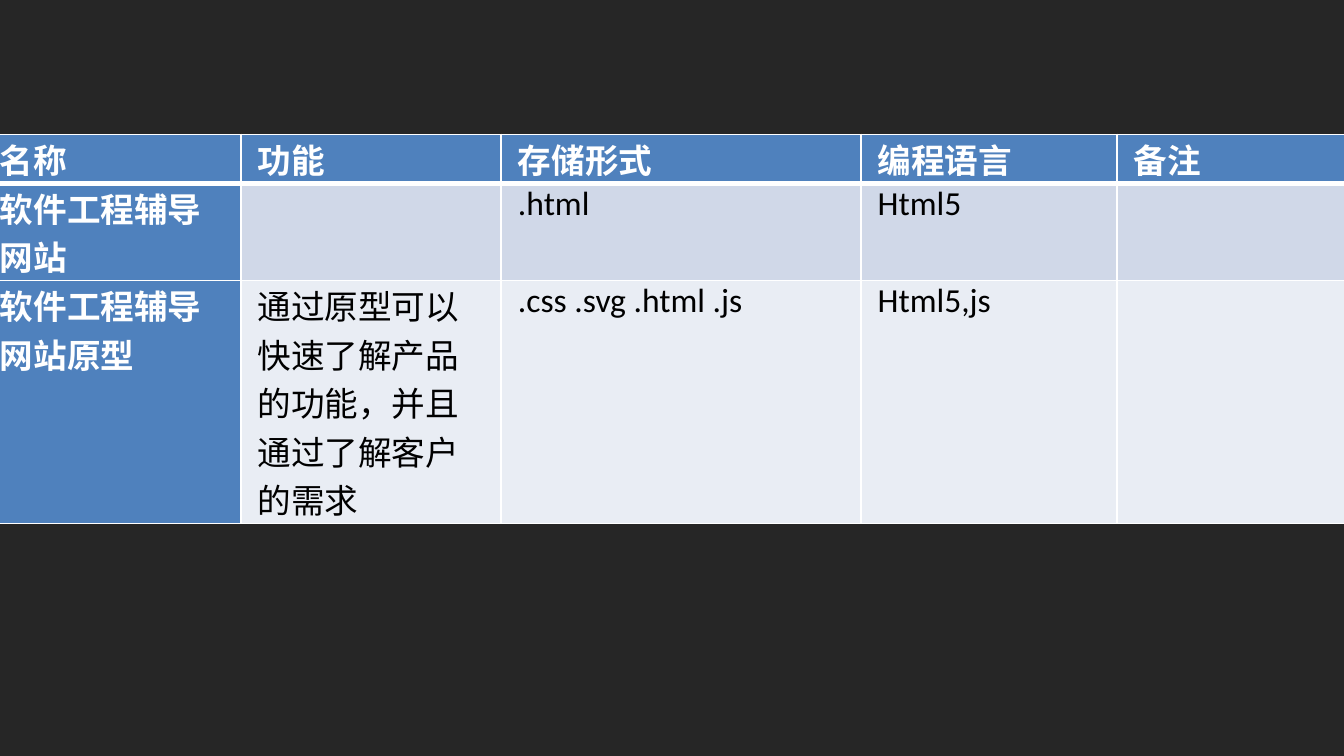
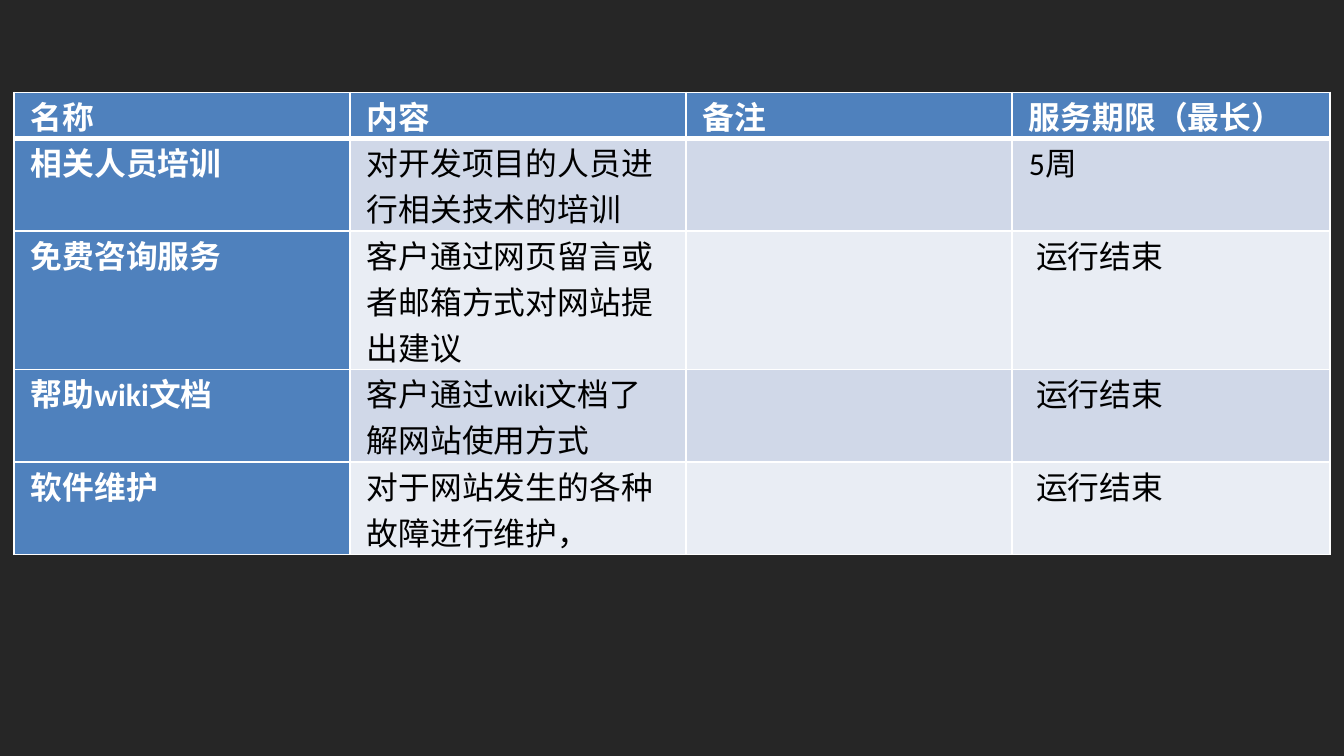
from lxml.etree import SubElement
from pptx import Presentation
from pptx.dml.color import RGBColor
from pptx.enum.lang import MSO_LANGUAGE_ID as Lang
from pptx.oxml.ns import qn
from pptx.util import Pt

PX = 9525  # 96 px to the inch
BACKDROP = RGBColor(0x26, 0x26, 0x26)
HEADING = RGBColor(0x4F, 0x81, 0xBD)
BANDS = [RGBColor(0xE9, 0xED, 0xF4), RGBColor(0xD0, 0xD8, 0xE8)]
WHITE = RGBColor(0xFF, 0xFF, 0xFF)
BLACK = RGBColor(0x00, 0x00, 0x00)

# Contents and measures of the two tables
deliverables = {
    "left": -12, "top": 96, "inset": 12, "size": 18,
    "columns": [184, 186, 257, 183, 174],
    "heights": [29, 59, 147],
    "rows": [
        ["名称", "功能", "存储形式", "编程语言", "备注"],
        ["软件工程辅导网站", "", ".html", "Html5", ""],
        ["软件工程辅导网站原型",
         "通过原型可以快速了解产品的功能，并且通过了解客户的需求",
         ".css .svg .html .js", "Html5,js", ""],
    ],
}
services = {
    "left": 10, "top": 66, "inset": 12, "size": 17,
    "columns": [240, 240, 233, 227],
    "heights": [28, 56, 84, 56, 56],
    "rows": [
        ["名称", "内容", "备注", "服务期限（最长）"],
        ["相关人员培训", "对开发项目的人员进行相关技术的培训", "", "5周"],
        ["免费咨询服务", "客户通过网页留言或者邮箱方式对网站提出建议", "", " 运行结束"],
        ["帮助wiki文档", "客户通过wiki文档了解网站使用方式", "", " 运行结束"],
        ["软件维护", "对于网站发生的各种故障进行维护，", "", " 运行结束"],
    ],
}


def add_border(cell, side, points):
    line = SubElement(cell._tc.get_or_add_tcPr(), qn(f"a:ln{side}"), w=str(Pt(points)))
    paint = SubElement(line, qn("a:solidFill"))
    SubElement(paint, qn("a:srgbClr"), val=str(WHITE))


prs = Presentation()
prs.slide_width, prs.slide_height = 960 * PX, 540 * PX

# Dark backdrop shared through the master
backdrop = prs.slide_master.background.fill
backdrop.solid()
backdrop.fore_color.rgb = BACKDROP

for content in (deliverables, services):
    slide = prs.slides.add_slide(prs.slide_layouts[6])
    rows, columns, heights = content["rows"], content["columns"], content["heights"]
    table = slide.shapes.add_table(
        len(rows), len(columns), content["left"] * PX, content["top"] * PX,
        sum(columns) * PX, sum(heights) * PX).table
    table.first_col = True
    for column, width in zip(table.columns, columns):
        column.width = width * PX
    for row, height in zip(table.rows, heights):
        row.height = height * PX

    for r, texts in enumerate(rows):
        for c, text in enumerate(texts):
            cell = table.cell(r, c)
            is_heading = r == 0 or c == 0
            cell.margin_left = cell.margin_right = content["inset"] * PX
            cell.margin_top = cell.margin_bottom = 0

            # White rules, thick between header and body
            for side in "LRTB":
                thick = (r, side) in [(0, "B"), (1, "T")]
                add_border(cell, side, 3 if thick else 1)
            cell.fill.solid()
            cell.fill.fore_color.rgb = HEADING if is_heading else BANDS[r % 2]

            # Cell text
            paragraph = cell.text_frame.paragraphs[0]
            paragraph.font.size = Pt(content["size"])
            if text:
                run = paragraph.add_run()
                run.text = text
                run.font.name = "Calibri"
                run.font.size = Pt(content["size"])
                run.font.bold = is_heading
                run.font.color.rgb = WHITE if is_heading else BLACK
                run.font.language_id = Lang.SIMPLIFIED_CHINESE

prs.save("out.pptx")
